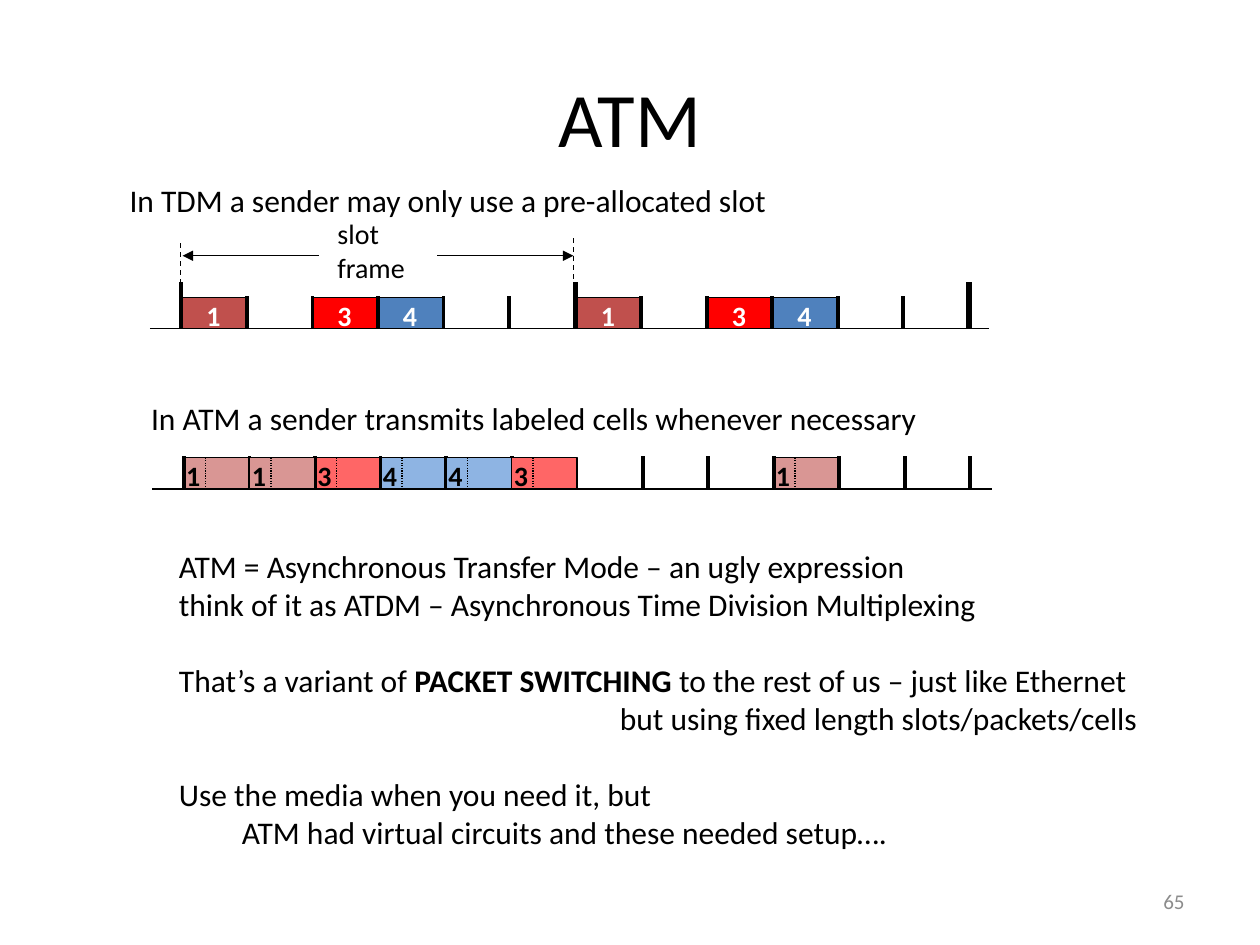
from lxml import etree
from pptx import Presentation
from pptx import util as u
from pptx.dml.color import RGBColor
from pptx.enum import dml, shapes, text
from pptx.oxml.ns import qn

PX = 9144  # 100 px to the inch
SLOT_WIDTH, SLOT_HEIGHT = 52, 25
BLACK, WHITE = "000000", "FFFFFF"
LINE_GAP = 22  # one text line at 18 pt


def add_line(x1, y1, x2, y2, width=0.75, dash=None, arrow=False):
    connector = slide.shapes.add_connector(
        shapes.MSO_CONNECTOR.STRAIGHT, *(v * PX for v in (x1, y1, x2, y2)))
    connector.line.color.rgb = RGBColor.from_string(BLACK)
    connector.line.width = u.Pt(width)
    if dash:
        connector.line.dash_style = dash
    if arrow:
        etree.SubElement(connector.line._get_or_add_ln(), qn("a:tailEnd"), type="triangle")
    etree.SubElement(connector._element.spPr, qn("a:effectLst"))


def add_text(left, top, width, height, words, size, color=BLACK, bold=False, wrap=False):
    box = slide.shapes.add_textbox(*(v * PX for v in (left, top, width, height)))
    frame = box.text_frame
    frame.word_wrap = wrap
    frame.text = words
    for paragraph in frame.paragraphs:
        paragraph.font.name = "Calibri"
        paragraph.font.size = u.Pt(size)
        paragraph.font.bold = bold
        paragraph.font.color.rgb = RGBColor.from_string(color)
    return frame


presentation = Presentation()
presentation.slide_width, presentation.slide_height = 1000 * PX, 750 * PX
slide = presentation.slides.add_slide(presentation.slide_layouts[1])

title = slide.shapes.title
title.left, title.top, title.width, title.height = (v * PX for v in (50, 30, 900, 125))
title.text_frame.text = "ATM"
title.text_frame.paragraphs[0].font.name = "Calibri"
title.text_frame.paragraphs[0].font.size = u.Pt(44)

# Each timeline: left edge, baseline, slot pitch, label offset, label colour,
# tick numbers, taller ticks with their widths, header cells or not,
# and cells as (slot, label, fill, drawn above the ticks)
timelines = [
    (144, 261, 52.1, 10, WHITE, range(13), {0: 2.25, 6: 3, 12: 3}, False,
     [(0, "1", "C0504D", False), (2, "3", "FF0000", False), (3, "4", "4F81BD", False),
      (6, "1", "C0504D", False), (8, "3", "FF0000", False), (9, "4", "4F81BD", False)]),
    (146, 388, 52, -8, BLACK, [0, 1, 2, 3, 4, 5, 7, 8, 9, 10, 11, 12], {}, True,
     [(0, "1", "D99694", False), (1, "1", "D99694", True), (2, "3", "FF6666", False),
      (3, "4", "8EB4E3", False), (4, "4", "8EB4E3", True), (5, "3", "FF6666", True),
      (9, "1", "D99694", False)]),
]
for left, base, pitch, offset, label_color, ticks, tall, headers, cells in timelines:
    add_line(left - 25, base, left + 641, base)
    slot_x = [left + round(pitch * number) for number in range(13)]
    for above_ticks in (False, True):
        for slot, label, fill, above in cells:
            if above != above_ticks:
                continue
            cell = slide.shapes.add_shape(
                shapes.MSO_SHAPE.RECTANGLE, slot_x[slot] * PX, (base - SLOT_HEIGHT) * PX,
                SLOT_WIDTH * PX, SLOT_HEIGHT * PX)
            cell.shadow.inherit = False
            cell.fill.solid()
            cell.fill.fore_color.rgb = RGBColor.from_string(fill)
            cell.line.color.rgb = RGBColor.from_string(BLACK)
            cell.line.width = u.Pt(0.75)
        if not above_ticks:
            for tick in ticks:
                height = 37 if tick in tall else 26
                add_line(slot_x[tick], base - height, slot_x[tick], base, tall.get(tick, 2.25))
    for slot, label, fill, above in cells:
        add_text(slot_x[slot] + offset, base - 29, 33, 37, label, 16, label_color, True)
        if headers:
            x = slot_x[slot] + 17
            add_line(x, base - 25, x, base + 1, dash=dml.MSO_LINE.ROUND_DOT)

# Frame length marker
add_text(258, 167, 78, 64, "slot\nframe", 16)
add_line(347, 203, 455, 203, arrow=True)
add_line(253, 203, 145, 203, arrow=True)
add_line(143, 193, 143, 227, dash=dml.MSO_LINE.DASH)
add_line(455, 189, 455, 222, dash=dml.MSO_LINE.DASH)

add_text(93, 139, 613, 40, "In TDM a sender may only use a pre-allocated slot", 18, wrap=True)
add_text(110, 312, 659, 40, "In ATM a sender transmits labeled cells whenever necessary", 18,
         wrap=True)

# Explanation: (indent in px, space before in points, runs with their weight)
explanation = [
    (0, 0, [("ATM = Asynchronous Transfer Mode – an ugly expression", False)]),
    (0, 0, [("think of it as ATDM – Asynchronous Time Division Multiplexing", False)]),
    (0, LINE_GAP, [("That’s a variant of ", False), ("PACKET SWITCHING", True),
                   (" to the rest of us – just like Ethernet", False)]),
    (350, 0, [("but using fixed length slots/packets/cells", False)]),
    (0, LINE_GAP, [("Use the media when you need it, but", False)]),
    (50, 0, [("ATM had virtual circuits and these needed setup….", False)]),
]
body = slide.placeholders[1]
body.left, body.top, body.width, body.height = (v * PX for v in (132, 429, 859, 283))
frame = body.text_frame
frame.auto_size = text.MSO_AUTO_SIZE.NONE
for index, (indent, space, runs) in enumerate(explanation):
    paragraph = frame.add_paragraph() if index else frame.paragraphs[0]
    properties = paragraph._p.get_or_add_pPr()
    properties.set("marL", str(indent * PX))
    properties.set("indent", "0")
    etree.SubElement(properties, qn("a:buNone"))
    paragraph.space_before = u.Pt(space)
    paragraph.font.name = "Calibri"
    paragraph.font.size = u.Pt(18)
    for words, bold in runs:
        run = paragraph.add_run()
        run.text = words
        if bold:
            run.font.bold = True

number = add_text(717, 695, 233, 40, "65", 12, "8C8C8C", wrap=True)
number.vertical_anchor = text.MSO_ANCHOR.MIDDLE
number.paragraphs[0].alignment = text.PP_ALIGN.RIGHT

presentation.save("out.pptx")
